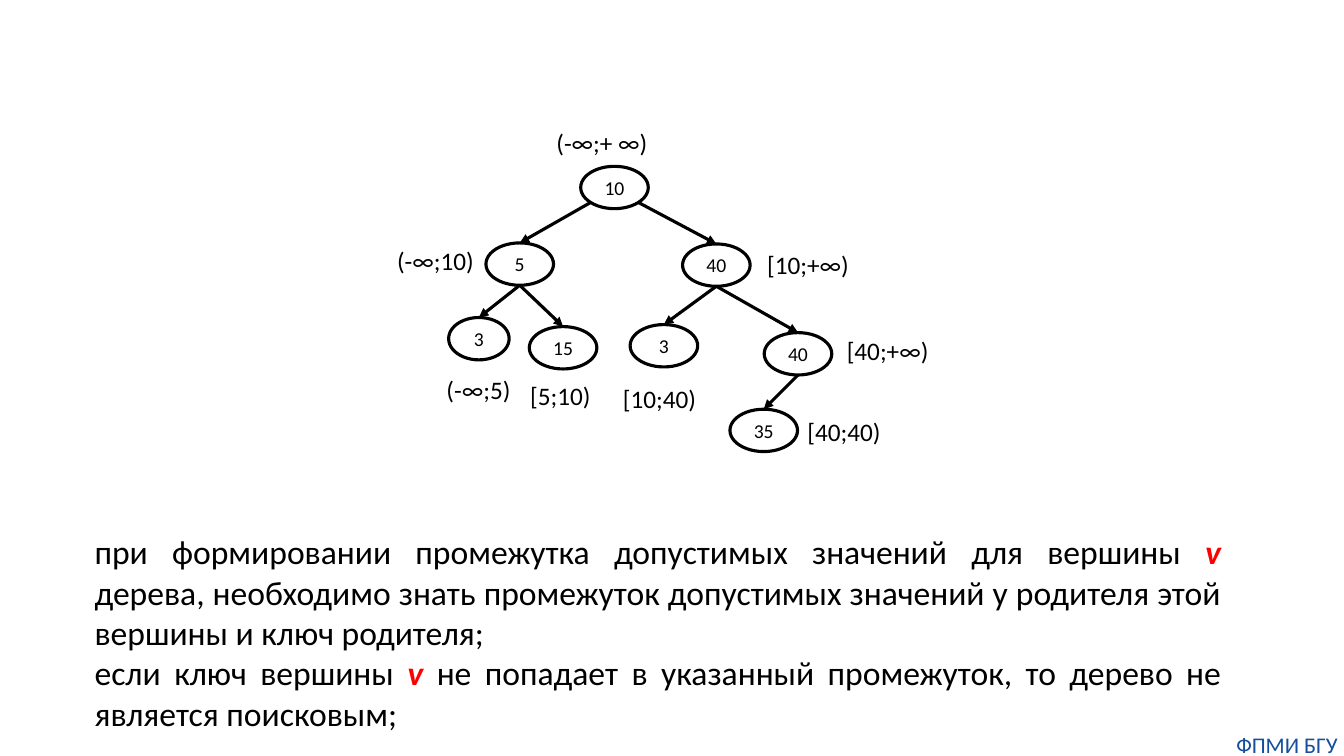
from dataclasses import dataclass
from lxml.etree import SubElement
from pptx import Presentation
from pptx.dml.color import RGBColor
from pptx.enum.shapes import MSO_CONNECTOR, MSO_SHAPE
from pptx.enum.text import MSO_ANCHOR, PP_ALIGN
from pptx.oxml.ns import qn
from pptx.util import Inches, Pt


@dataclass(frozen=True)
class Theme:
    face: str = "Calibri"
    ink: RGBColor = RGBColor(0, 0, 0)
    red: RGBColor = RGBColor(255, 0, 0)
    blue: RGBColor = RGBColor(0x14, 0x4E, 0x9D)
    key: Pt = Pt(14)
    foot: Pt = Pt(16)
    span: Pt = Pt(18)
    body: Pt = Pt(24)
    line: Pt = Pt(2.25)


@dataclass(frozen=True)
class Node:
    key: str
    x: float
    y: float
    span: str
    at: tuple  # left, top, width of the interval label
    root: int = -1
    w: float = 0.67
    h: float = 0.42


THEME = Theme()

# Places are relative to the tree's box
TREE = [
    Node("10", 1.92, 0.44, "(-∞;+ ∞)", (1.58, 0, 1.12)),
    Node("5", 0.98, 1.2, "(-∞;10)", (0, 1.17, 0.97), 0),
    Node("40", 2.93, 1.21, "[10;+∞)", (3.67, 1.21, 1.02), 0),
    Node("3", 0.61, 1.94, "(-∞;5)", (0.49, 2.45, 0.85), 1, w=0.6),
    Node("15", 1.41, 2.03, "[5;10)", (1.32, 2.51, 0.81), 1),
    Node("3", 2.41, 2.01, "[10;40)", (2.24, 2.54, 0.94), 2),
    Node("40", 3.74, 2.09, "[40;+∞)", (4.46, 2.07, 1.02), 2),
    Node("35", 3.4, 2.85, "[40;40)", (4.07, 2.87, 0.94), 6),
]

# Pieces at odd places are the marked vertex name
NOTES = [
    ["при формировании промежутка допустимых значений для вершины ", "v ",
     "дерева, необходимо знать промежуток допустимых значений у родителя "
     "этой вершины и ключ родителя; "],
    ["если ключ вершины ", "v ",
     "не попадает в указанный промежуток, то дерево не является поисковым;"],
]


def style(para, size, color, align=PP_ALIGN.LEFT):
    para.alignment = align
    para.font.name = THEME.face
    para.font.size = size
    para.font.color.rgb = color


def add_text(slide, box, wrap, inset=True):
    frame = slide.shapes.add_textbox(*map(Inches, box)).text_frame
    frame.word_wrap = wrap
    if not inset:
        strip(frame)
    return frame


def strip(frame):
    frame.margin_left = frame.margin_right = 0
    frame.margin_top = frame.margin_bottom = 0


def add_node(slide, node, left, top):
    oval = slide.shapes.add_shape(
        MSO_SHAPE.OVAL, Inches(left + node.x), Inches(top + node.y),
        Inches(node.w), Inches(node.h))
    oval.shadow.inherit = False
    oval.fill.background()
    oval.line.color.rgb = THEME.ink
    oval.line.width = THEME.line
    frame = oval.text_frame
    strip(frame)
    frame.vertical_anchor = MSO_ANCHOR.MIDDLE
    frame.text = node.key
    style(frame.paragraphs[0], THEME.key, THEME.ink, PP_ALIGN.CENTER)


def add_edge(slide, root, node, left, top):
    x, y = root.x + root.w / 2, root.y + root.h
    end = node.x + node.w / 2
    # The top vertex sends its edges from the lower diagonals
    if root.root < 0:
        x += 0.354 * root.w * (1 if end > x else -1)
        y -= 0.146 * root.h
    edge = slide.shapes.add_connector(
        MSO_CONNECTOR.STRAIGHT, Inches(left + x), Inches(top + y),
        Inches(left + end), Inches(top + node.y))
    edge.line.color.rgb = THEME.ink
    edge.line.width = THEME.line
    SubElement(edge.line._get_or_add_ln(), qn("a:tailEnd"), type="triangle")
    SubElement(edge._element.spPr, qn("a:effectLst"))


def add_tree(slide, left, top):
    for node in TREE:
        add_node(slide, node, left, top)
        if node.root >= 0:
            add_edge(slide, TREE[node.root], node, left, top)
        x, y, width = node.at
        frame = add_text(slide, (left + x, top + y, width, 0.4), False)
        frame.text = node.span
        style(frame.paragraphs[0], THEME.span, THEME.ink)


def add_notes(slide, box):
    frame = add_text(slide, box, True)
    for i, parts in enumerate(NOTES):
        para = frame.add_paragraph() if i else frame.paragraphs[0]
        style(para, THEME.body, THEME.ink, PP_ALIGN.JUSTIFY)
        for j, part in enumerate(parts):
            run = para.add_run()
            run.text = part
            if j % 2:
                run.font.bold = run.font.italic = True
                run.font.color.rgb = THEME.red


def add_foot(slide, box):
    frame = add_text(slide, box, True, inset=False)
    frame.text = "ФПМИ БГУ"
    style(frame.paragraphs[0], THEME.foot, THEME.blue, PP_ALIGN.CENTER)


def main():
    deck = Presentation()
    deck.slide_width, deck.slide_height = Inches(13.33), Inches(7.5)
    slide = deck.slides.add_slide(deck.slide_layouts[6])
    add_tree(slide, 3.84, 1.21)
    add_notes(slide, (0.84, 5.22, 11.37, 2.12))
    add_foot(slide, (12.2, 7.25, 1.13, 0.27))
    deck.save("out.pptx")


if __name__ == "__main__":
    main()
